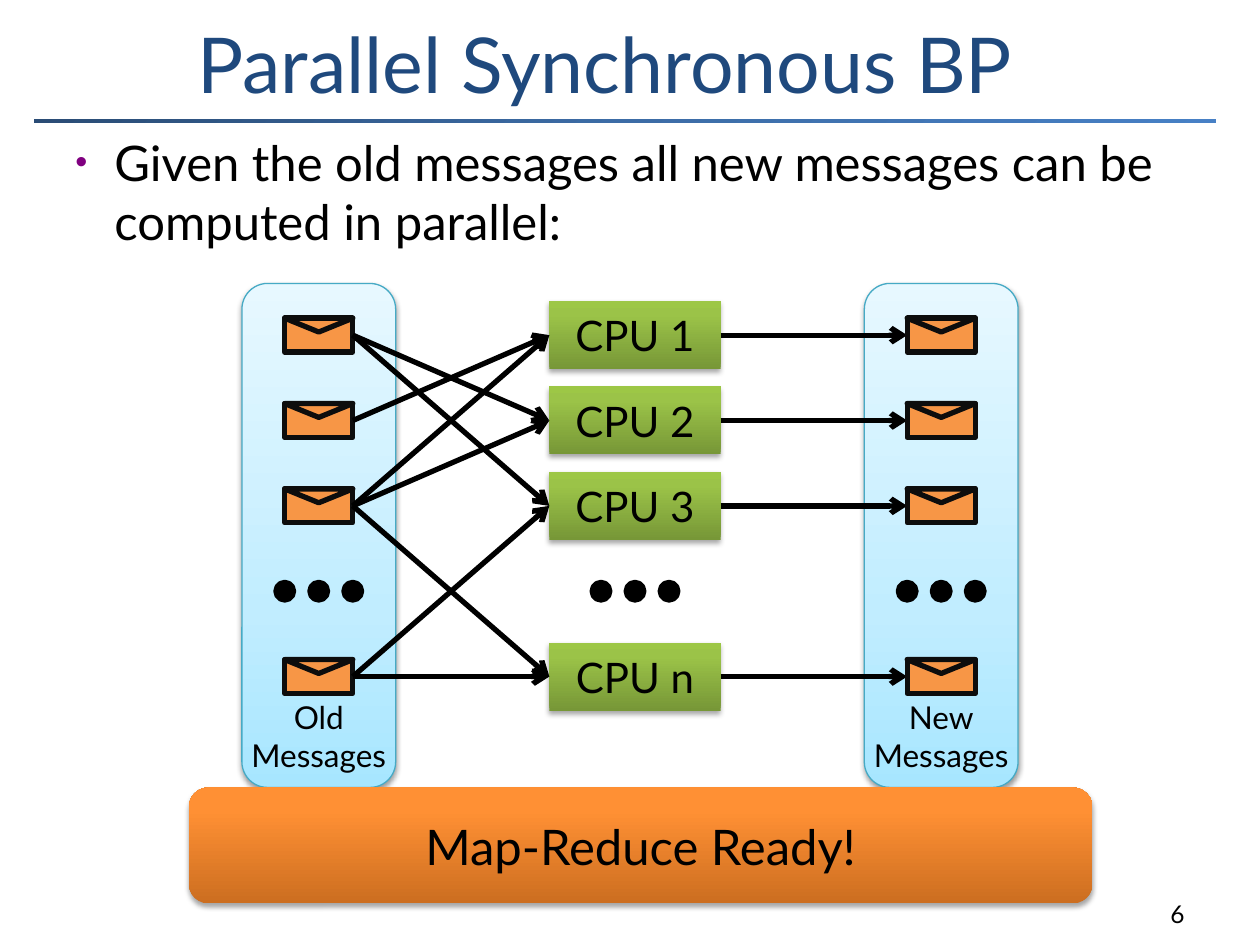
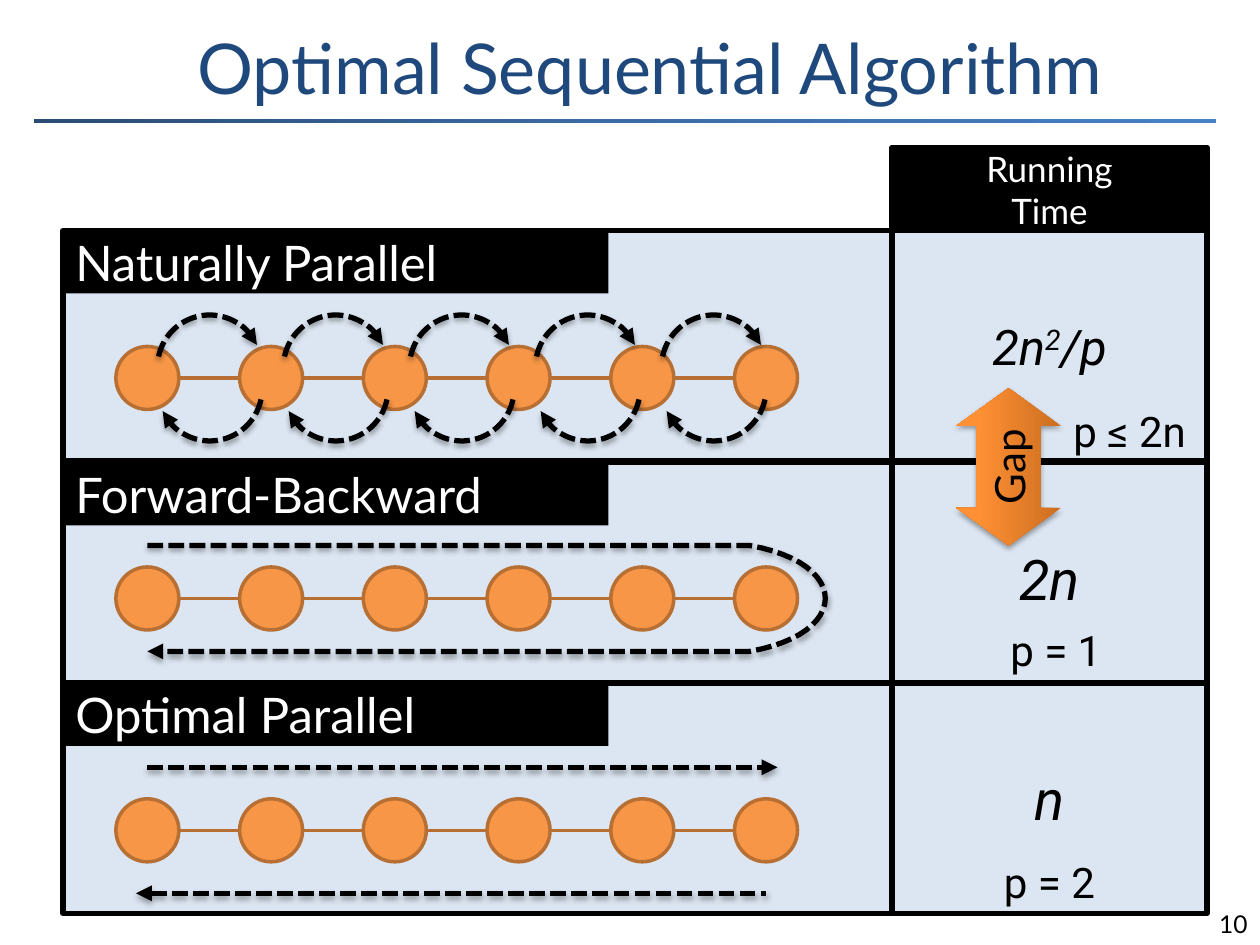
import pptx
import pptx.dml.color
import pptx.enum.dml
import pptx.enum.shapes
import pptx.enum.text
import pptx.oxml.ns
import pptx.util
from lxml import etree

Inches = pptx.util.Inches
Pt = pptx.util.Pt
qn = pptx.oxml.ns.qn
KIND = pptx.enum.shapes.MSO_SHAPE
ALIGN = pptx.enum.text.PP_ALIGN
ANCHOR = pptx.enum.text.MSO_ANCHOR
DASH = pptx.enum.dml.MSO_LINE.SQUARE_DOT

BLACK, WHITE, NAVY = "000000", "FFFFFF", "1F497D"
ORANGE, BROWN, PALE, INK = "F79646", "B76F34", "DCE6F2", "0D0D0D"
RULE = ([(0, "2A4C75"), (50, "3C6CA6"), (100, "4780C5")], 45)
SKY = ([(0, "A7E6FF"), (35, "C1EDFF"), (100, "E7F8FF")], 270)
GREEN = ([(0, "779737"), (80, "9BC348"), (100, "9DC746")], 270)
FLAME = ([(0, "CC6E20"), (80, "FF9034"), (100, "FF9136")], 270)
SOFT, DEEP = (35, 1.8), (38, 1.6)
TRAIL = {"width": Pt(3), "dash_style": DASH}


def rgb(code):
    """Turn a hex string into a colour."""
    return pptx.dml.color.RGBColor.from_string(code)


def put(item, values):
    """Set every attribute named in a dict."""
    for name, value in values.items():
        setattr(item, name, value)


def node(parent, tag, **attrs):
    """Add a drawing element with its attributes."""
    return etree.SubElement(parent, qn(tag), {k: str(v) for k, v in attrs.items()})


def paint(shape, fill):
    """Fill a shape with nothing, one colour or a gradient."""
    if fill is None:
        shape.fill.background()
    elif isinstance(fill, str):
        shape.fill.solid()
        shape.fill.fore_color.rgb = rgb(fill)
    else:
        stops, angle = fill
        shape.fill.gradient()
        grad = shape.element.spPr.find(qn("a:gradFill"))
        grad.clear()
        grad.set("rotWithShape", "1")
        group = node(grad, "a:gsLst")
        for pos, code in stops:
            node(node(group, "a:gs", pos=pos * 1000), "a:srgbClr", val=code)
        node(grad, "a:lin", ang=angle * 60000, scaled=0)


def stroke(item, color, values, head=None, tail=None):
    """Style a line and its arrowheads."""
    item.line.color.rgb = rgb(color)
    put(item.line, values)
    ends = item.element.spPr.find(qn("a:ln"))
    for tag, kind in (("a:headEnd", head), ("a:tailEnd", tail)):
        if kind:
            node(ends, tag, type=kind)


def cast(item, shade=None):
    """Give an item its own shadow, or none."""
    group = node(item.element.spPr, "a:effectLst")
    if shade:
        alpha, dist = shade
        drop = node(group, "a:outerShdw", blurRad=Pt(3.1), dist=Pt(dist),
                    dir=90 * 60000, rotWithShape=0)
        node(node(drop, "a:srgbClr", val=BLACK), "a:alpha", val=alpha * 1000)


def draw(slide, kind, box, fill=None, line=None, width=3, shade=None):
    """Add a preset shape in a box."""
    shape = slide.shapes.add_shape(kind, *map(Inches, box))
    paint(shape, fill)
    if line:
        stroke(shape, line, {"width": Pt(width)})
    else:
        shape.line.fill.background()
    cast(shape, shade)
    return shape


def link(slide, start, end, color=BLACK, values=None, head=None, tail=None, shade=None):
    """Join two points with a straight line."""
    kind = pptx.enum.shapes.MSO_CONNECTOR.STRAIGHT
    wire = slide.shapes.add_connector(kind, *map(Inches, (*start, *end)))
    stroke(wire, color, values or {"width": Pt(3)}, head, tail)
    cast(wire, shade)


def write(shape, lines, size, color=BLACK, font="Lato", align=ALIGN.CENTER,
          anchor=ANCHOR.MIDDLE, wrap=False, italic=False):
    """Set the lines of a shape; a line may be a list of (text, raise) runs."""
    frame = shape.text_frame
    put(frame, {"word_wrap": wrap, "vertical_anchor": anchor})
    for i, line in enumerate(lines):
        para = frame.add_paragraph() if i else frame.paragraphs[0]
        para.alignment = align
        for text, lift in [(line, 0)] if isinstance(line, str) else line:
            run = para.add_run()
            run.text = text
            put(run.font, {"size": Pt(size), "name": font, "italic": italic})
            run.font.color.rgb = rgb(color)
            if lift:
                run.font._element.set("baseline", str(lift * 1000))


def label(slide, box, text, size, **form):
    """Add a text box with one line."""
    area = slide.shapes.add_textbox(*map(Inches, box))
    write(area, [text], size, **form)
    return area


def base(deck, title, size, page, spot):
    """Start a slide with its rule, title and page number."""
    slide = deck.slides.add_slide(deck.slide_layouts[6])
    draw(slide, KIND.RECTANGLE, (0.25, 0.92, 9.42, 0.08), RULE, WHITE)
    label(slide, (1.47, 0.08, 8.2, 0.83), title, size, color=NAVY,
          align=ALIGN.LEFT, anchor=ANCHOR.BOTTOM, wrap=True)
    label(slide, (*spot, 2.08, 0.5), page, 14, align=ALIGN.RIGHT,
          anchor=ANCHOR.BOTTOM, wrap=True)
    return slide


def point(slide, box, text):
    """Add a bulleted statement."""
    area = label(slide, box, text, 28, align=ALIGN.LEFT, anchor=ANCHOR.TOP, wrap=True)
    props = area.text_frame.paragraphs[0]._p.get_or_add_pPr()
    props.set("marL", str(Inches(0.31)))
    props.set("indent", str(Inches(-0.31)))
    node(node(props, "a:buClr"), "a:srgbClr", val="800080")
    node(props, "a:buSzPct", val=70000)
    node(props, "a:buFont", typeface="Arial")
    node(props, "a:buChar", char="•")


def letter(slide, x, y):
    """Draw an envelope centred on a point."""
    left, top = x - 0.27, y - 0.135
    draw(slide, KIND.RECTANGLE, (left, top, 0.54, 0.27), ORANGE, INK)
    flap = draw(slide, KIND.ISOSCELES_TRIANGLE, (left, top, 0.54, 0.11), ORANGE, INK)
    flap.rotation = 180


def dots(slide, x, y):
    """Draw three dots centred on a point."""
    for step in (-1, 0, 1):
        draw(slide, KIND.OVAL, (x + step * 0.27 - 0.07, y - 0.07, 0.14, 0.14), BLACK, BLACK)


def graph(slide, x, y):
    """Draw the old messages, the processors and the new messages."""
    old, cpu, new = x + 0.61, x + 3.12, x + 5.55
    rows = [y + 0.41 + i * 2.71 / 4 for i in range(5)]
    names = {0: "CPU 1", 1: "CPU 2", 2: "CPU 3", 4: "CPU n"}
    pairs = [(0, 1), (2, 1), (1, 0), (0, 2), (2, 4), (4, 4), (2, 0), (4, 2)]
    for mid, name in ((new, "New"), (old, "Old")):
        panel = draw(slide, KIND.ROUNDED_RECTANGLE, (mid - 0.61, y, 1.22, 4),
                     SKY, "46AAC5", 0.75, DEEP)
        write(panel, [name, "Messages"], 18, anchor=ANCHOR.BOTTOM)
    for i, name in names.items():
        chip = draw(slide, KIND.RECTANGLE, (cpu - 0.68, rows[i] - 0.27, 1.36, 0.54),
                    GREEN, shade=SOFT)
        write(chip, [name], 24)
        link(slide, (cpu + 0.68, rows[i]), (new - 0.27, rows[i]), tail="arrow")
        for mid in (old, new):
            letter(slide, mid, rows[i])
    for mid in (old, cpu, new):
        dots(slide, mid, rows[3])
    for start, end in pairs:
        link(slide, (old + 0.27, rows[start]), (cpu - 0.68, rows[end]), tail="arrow")


def chain(slide, x, y):
    """Draw six joined nodes, centred on a height."""
    link(slide, (x + 0.5, y), (x + 4.91, y), BROWN, {"width": Pt(2)})
    for i in range(6):
        draw(slide, KIND.OVAL, (x + i * 4.91 / 5, y - 0.25, 0.5, 0.5), ORANGE, BROWN, 2)


def hops(slide, x, y):
    """Draw the arcs between neighbours, both ways."""
    for turn, top in ((270, y - 0.5), (90, y - 0.33)):
        for i in range(5):
            arc = draw(slide, KIND.ARC, (x + 0.33 + i, top, 0.83, 0.83))
            arc.element.spPr.remove(arc.element.spPr.find(qn("a:effectLst")))
            arc.rotation = turn
            arc.adjustments[0], arc.adjustments[1] = 169.174, 38.749
            stroke(arc, BLACK, TRAIL, tail="triangle")
            cast(arc, SOFT)


def loop(slide, x, y):
    """Draw the path that runs along the chain and back."""
    left, bend, out = x + 0.25, x + 5.03, x + 5.83
    spots = []
    for i in range(25):
        t = i / 24
        across = (1 - t) ** 3 + t ** 3
        high = -0.42 * (1 - t) ** 3 - 0.84 * t * (1 - t) ** 2
        low = 0.84 * t ** 2 * (1 - t) + 0.42 * t ** 3
        spots.append((bend * across + out * (1 - across), y + high + low))
    spots.append((left, y + 0.42))
    pen = slide.shapes.build_freeform(Inches(left), Inches(y - 0.42))
    pen.add_line_segments([(Inches(a), Inches(b)) for a, b in spots], close=False)
    path = pen.convert_to_shape()
    paint(path, None)
    stroke(path, BLACK, TRAIL, tail="triangle")
    cast(path, SOFT)


def sweeps(slide, x, y):
    """Draw one arrow above the chain and one below."""
    link(slide, (x + 0.25, y - 0.5), (x + 5.25, y - 0.5), values=TRAIL,
         tail="triangle", shade=SOFT)
    link(slide, (x + 0.16, y + 0.5), (x + 5.16, y + 0.5), values=TRAIL,
         head="triangle", shade=SOFT)


def row(slide, x, y, name, mid, moves, time, size, note, spot):
    """Draw one algorithm with its chain and running time."""
    draw(slide, KIND.RECTANGLE, (x, y, 6.58, 1.83), PALE, BLACK)
    band = draw(slide, KIND.RECTANGLE, (x, y, 4.33, 0.5), BLACK)
    write(band, [name], 28, WHITE, align=ALIGN.LEFT)
    chain(slide, x + 0.42, y + mid)
    moves(slide, x + 0.42, y + mid)
    cell = draw(slide, KIND.RECTANGLE, (x + 6.58, y, 2.5, 1.83), PALE, BLACK)
    write(cell, [time], size, font="Roboto", italic=True)
    left, top, width = spot
    label(slide, (x + left, y + top, width, 0.5), note, 24, font="Roboto",
          align=ALIGN.LEFT, anchor=ANCHOR.TOP)


def table(slide, x, y):
    """Draw the three algorithms and the gap between their times."""
    head = draw(slide, KIND.RECTANGLE, (x + 6.58, y, 2.5, 0.67), BLACK, BLACK)
    write(head, ["Running", "Time"], 20, WHITE)
    power = [("2n", 0), ("2", 30), ("/p", 0)]
    rows = [
        (0.66, "Naturally Parallel", 1.17, hops, power, 28, "p ≤ 2n", (7.92, 1.34, 1.15)),
        (2.5, "Forward-Backward", 1.08, loop, "2n", 32, "p = 1", (7.42, 1.24, 0.96)),
        (4.25, "Optimal Parallel", 1.17, sweeps, "n", 32, "p = 2", (7.37, 1.33, 0.96)),
    ]
    for top, *parts in rows:
        row(slide, x, y + top, *parts)
    gap = draw(slide, KIND.LEFT_RIGHT_ARROW, (x + 6.88, y + 2.12, 1.25, 0.83),
               FLAME, shade=SOFT)
    gap.rotation = 270
    gap.adjustments[0], gap.adjustments[1] = 0.611, 0.361
    write(gap, ["Gap"], 24)


def main():
    """Build both slides and save them."""
    deck = pptx.Presentation()
    put(deck, {"slide_width": Inches(10), "slide_height": Inches(7.5)})
    slide = base(deck, "Parallel Synchronous BP", 44, "6", (7.42, 6.92))
    point(slide, (0.5, 1, 9.08, 1.25),
          "Given the old messages all new messages can be computed in parallel:")
    graph(slide, 1.92, 2.25)
    ready = draw(slide, KIND.ROUNDED_RECTANGLE, (1.5, 6.25, 7.17, 0.92), FLAME, shade=SOFT)
    write(ready, ["Map-Reduce Ready!"], 28)
    slide = base(deck, "Optimal Sequential Algorithm", 40, "10", (7.92, 7))
    table(slide, 0.5, 1.17)
    deck.save("out.pptx")


if __name__ == "__main__":
    main()
